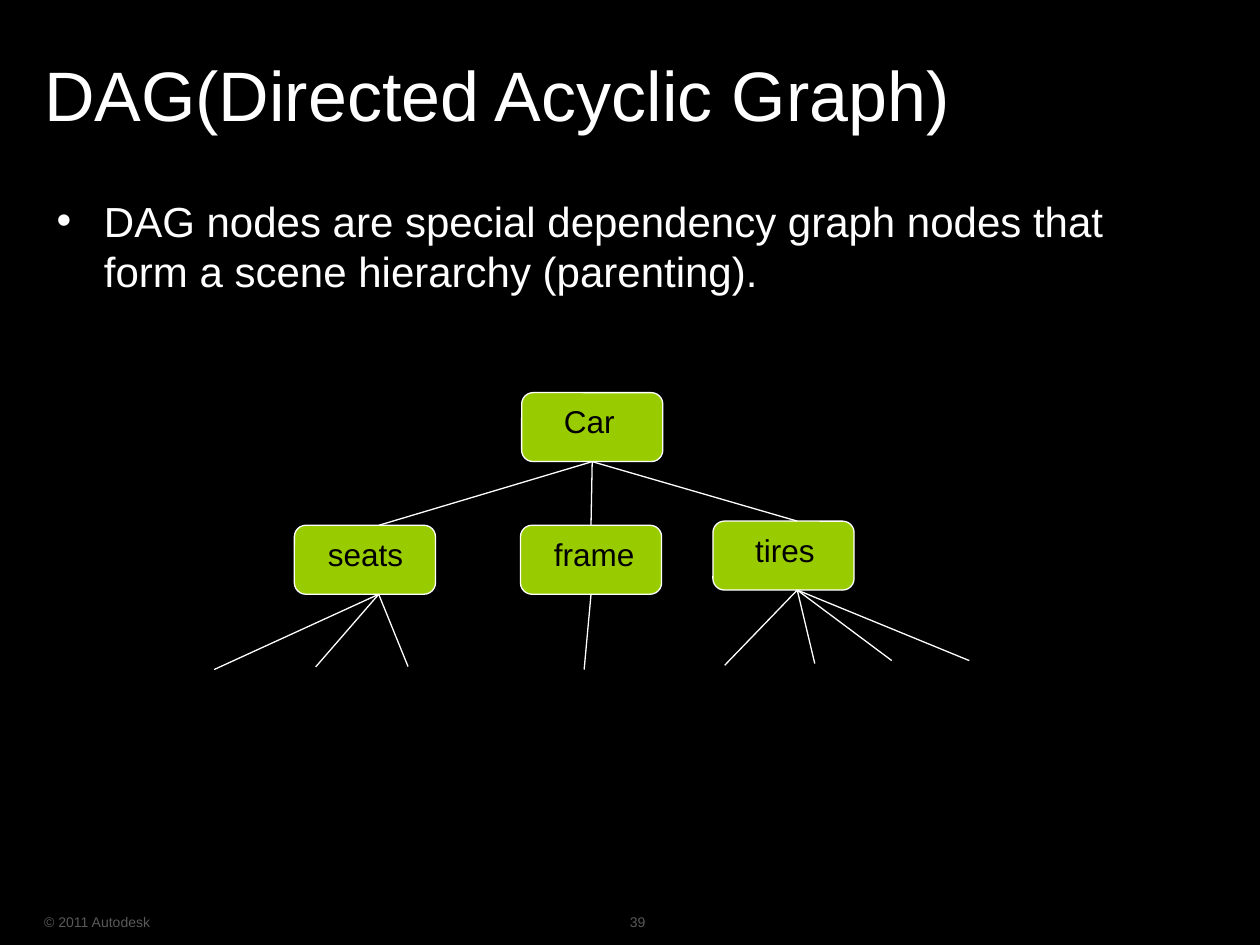
from lxml.etree import SubElement
from pptx import Presentation
from pptx.dml.color import RGBColor
from pptx.enum.shapes import MSO_CONNECTOR, MSO_SHAPE
from pptx.enum.text import MSO_ANCHOR, PP_ALIGN
from pptx.oxml.ns import qn
from pptx.util import Pt

BLACK = RGBColor(0x00, 0x00, 0x00)
WHITE = RGBColor(0xFF, 0xFF, 0xFF)
GREY = RGBColor(0x59, 0x59, 0x59)
GREEN = RGBColor(0x99, 0xCC, 0x00)
FONT = "Arial"
NODE_W, NODE_H = 80.64, 39.4
TOP, BOTTOM = 0, 2

# Name, left, top, text inset, offsets of the child line ends from the joint
ROOT = ("Car", 298.1, 224.4, 22.2)
CHILDREN = [
    ("seats", 168.2, 300.2, 17.2, 48.2,
     [(-94, 43), (-36, 41.5), (16.8, 41.3)]),
    ("frame", 297.4, 300.2, 17.2, 40.32, [(-3.9, 43)]),
    ("tires", 407.4, 297.8, 22.2, 48.2,
     [(-41.5, 43), (10, 42), (54, 40.3), (98.3, 40.3)]),
]


def add_run(p, text, size, color):
    r = p.add_run()
    r.text = text
    r.font.name = FONT
    r.font.size = Pt(size)
    r.font.color.rgb = color


def add_text(s, box, text, size, color, anchor=MSO_ANCHOR.MIDDLE):
    tf = s.shapes.add_textbox(*map(Pt, box)).text_frame
    tf.word_wrap = True
    tf.vertical_anchor = anchor
    tf.margin_left = tf.margin_right = tf.margin_top = tf.margin_bottom = 0
    p = tf.paragraphs[0]
    add_run(p, text, size, color)
    return p


def add_title(s, box):
    p = add_text(s, box, "DAG(Directed Acyclic Graph)", 40, WHITE)
    p.line_spacing = 0.95


def add_body(s, box):
    text = ("DAG nodes are special dependency graph nodes that "
            "form a scene hierarchy (parenting).")
    p = add_text(s, box, text, 24, WHITE, MSO_ANCHOR.TOP)
    pPr = p._p.get_or_add_pPr()
    pPr.set("marL", str(Pt(27)))
    pPr.set("indent", str(Pt(-27)))
    color = SubElement(pPr, qn("a:buClr"))
    SubElement(color, qn("a:srgbClr"), val=str(WHITE))
    SubElement(pPr, qn("a:buFont"), typeface=FONT)
    SubElement(pPr, qn("a:buChar"), char="•")


def add_node(s, name, left, top, inset):
    sp = s.shapes.add_shape(MSO_SHAPE.ROUNDED_RECTANGLE,
                            Pt(left), Pt(top), Pt(NODE_W), Pt(NODE_H))
    sp.shadow.inherit = False
    sp.fill.solid()
    sp.fill.fore_color.rgb = GREEN
    sp.line.color.rgb = WHITE
    sp.line.width = Pt(0.75)
    tf = sp.text_frame
    tf.word_wrap = True
    tf.vertical_anchor = MSO_ANCHOR.TOP
    tf.margin_left = Pt(inset)
    p = tf.paragraphs[0]
    p.alignment = PP_ALIGN.LEFT
    add_run(p, name, 18, BLACK)
    return sp


def add_edge(s, x1, y1, x2, y2):
    line = s.shapes.add_connector(MSO_CONNECTOR.STRAIGHT,
                                  Pt(x1), Pt(y1), Pt(x2), Pt(y2))
    line.line.color.rgb = WHITE
    line.line.width = Pt(0.75)
    SubElement(line._element.spPr, qn("a:effectLst"))
    return line


def add_tree(s):
    """Draw the root, its children and the open lines below each child."""
    root = add_node(s, *ROOT)
    root_x, root_y = ROOT[1] + NODE_W / 2, ROOT[2] + NODE_H
    for name, left, top, inset, joint, ends in CHILDREN:
        node = add_node(s, name, left, top, inset)
        x, y = left + joint, top + NODE_H
        centred = joint == NODE_W / 2
        edge = add_edge(s, root_x, root_y, x, top)
        edge.begin_connect(root, BOTTOM)
        if centred:
            edge.end_connect(node, TOP)
        for dx, dy in ends:
            edge = add_edge(s, x, y, x + dx, y + dy)
            if centred:
                edge.begin_connect(node, BOTTOM)


def add_footer(s, top, height):
    add_text(s, (25.2, top, 174.2, height), "© 2011 Autodesk", 8, GREY)
    add_text(s, (360, top, 23.8, height), "39", 8, GREY)


def main():
    prs = Presentation()
    prs.slide_width, prs.slide_height = Pt(720), Pt(540)
    s = prs.slides.add_slide(prs.slide_layouts[6])
    s.background.fill.solid()
    s.background.fill.fore_color.rgb = BLACK
    add_footer(s, 517.7, 18)
    add_title(s, (25.2, 10.8, 646.6, 90))
    add_body(s, (32.4, 111.6, 635, 403.2))
    add_tree(s)
    prs.save("out.pptx")


if __name__ == "__main__":
    main()
